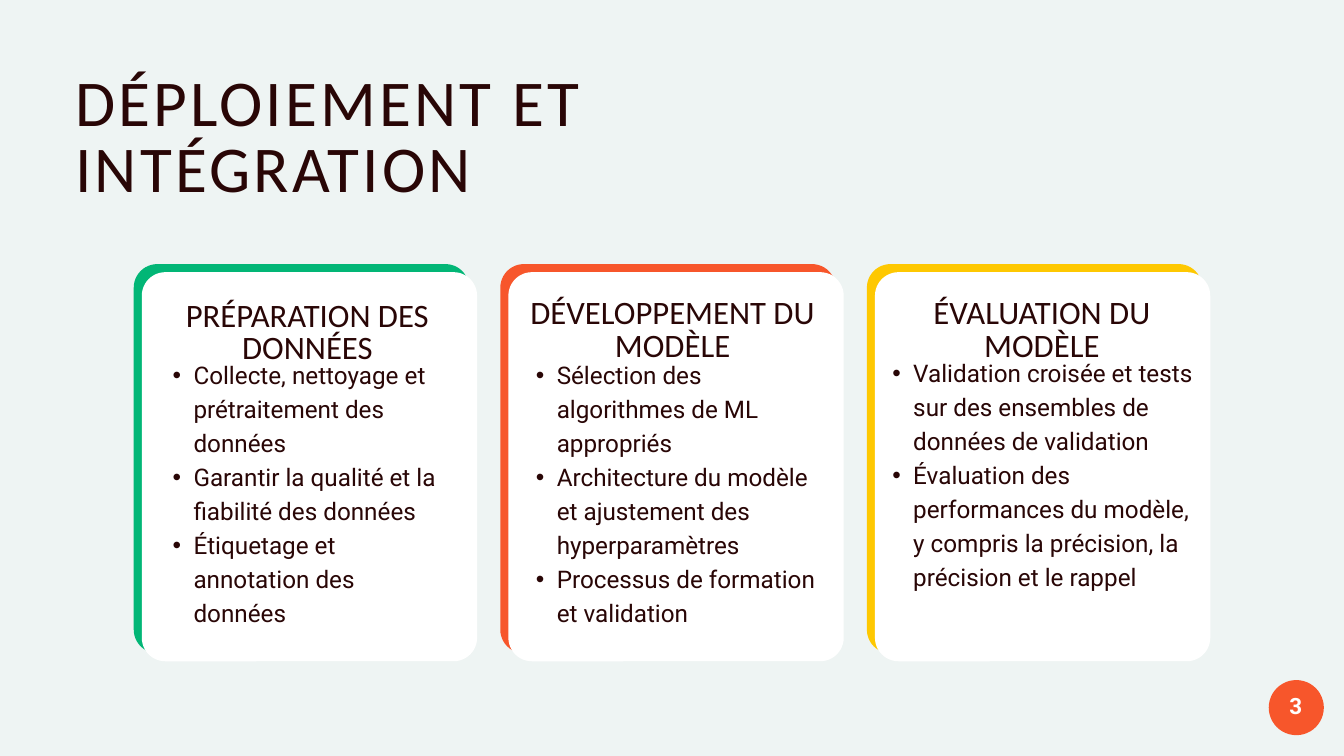
from lxml import etree
from pptx import Presentation
from pptx.dml.color import RGBColor
from pptx.enum.shapes import MSO_SHAPE
from pptx.enum.text import MSO_ANCHOR, MSO_AUTO_SIZE, PP_ALIGN
from pptx.oxml.ns import qn
from pptx.util import Inches, Pt

ROUND, OVAL = MSO_SHAPE.ROUNDED_RECTANGLE, MSO_SHAPE.OVAL
LEFT, CENTER = PP_ALIGN.LEFT, PP_ALIGN.CENTER
TOP, MIDDLE = MSO_ANCHOR.TOP, MSO_ANCHOR.MIDDLE
GROW, FIXED = MSO_AUTO_SIZE.SHAPE_TO_FIT_TEXT, MSO_AUTO_SIZE.NONE

INK, WHITE, PAPER = "290606", "FFFFFF", "EEF4F3"
GREEN, ORANGE, YELLOW = "02B676", "F7562B", "FEC801"

# Card grid: three equal cards, each a colored back and a white front
CARD_X, CARD_Y, CARD_W, CARD_H = 1.99, 3.93, 4.99, 5.79
PITCH, SHIFT, RADIUS = 5.455, 0.12, 0.35

# Color, heading, heading box, points, points box (boxes relative to the card)
CARDS = [
    (GREEN, "PRÉPARATION DES DONNÉES", (0.19, 0.55, 4.79, 0.59),
     ["Collecte, nettoyage et prétraitement des données",
      "Garantir la qualité et la fiabilité des données",
      "Étiquetage et annotation des données"], (0.28, 1.36, 4.47, 4.02)),
    (ORANGE, "DÉVELOPPEMENT DU MODÈLE", (0.18, 0.51, 4.77, 0.59),
     ["Sélection des algorithmes de ML appropriés",
      "Architecture du modèle et ajustement des hyperparamètres",
      "Processus de formation et validation"], (0.23, 1.36, 4.71, 4.02)),
    (YELLOW, "ÉVALUATION DU MODÈLE", (0.33, 0.51, 4.55, 0.59),
     ["Validation croisée et tests sur des ensembles de données de validation",
      "Évaluation des performances du modèle, y compris la précision, "
      "la précision et le rappel"], (0.08, 1.33, 4.82, 4.02)),
]


def paint(fill, color):
    fill.solid()
    fill.fore_color.rgb = RGBColor.from_string(color)


def add_block(slide, kind, box, color):
    shape = slide.shapes.add_shape(kind, *map(Inches, box))
    shape.shadow.inherit = False
    paint(shape.fill, color)
    shape.line.fill.background()
    return shape


def add_bullet(para):
    para.level = 1
    props = para._p.get_or_add_pPr()
    props.set("marL", str(Inches(0.61)))
    props.set("indent", str(Inches(-0.31)))
    etree.SubElement(props, qn("a:buFont")).set("typeface", "Arial")
    etree.SubElement(props, qn("a:buChar")).set("char", "•")


def add_text(slide, text, box, size, lead, font="Calibri", color=INK, align=LEFT,
             anchor=TOP, fit=GROW, inset=0, space=0, bold=False, bullet=False):
    """Place one paragraph, or a list of them, in a text box."""
    frame = slide.shapes.add_textbox(*map(Inches, box)).text_frame
    frame.word_wrap = True
    frame.auto_size = fit
    frame.vertical_anchor = anchor
    frame.margin_left = frame.margin_right = Inches(inset)
    frame.margin_top = frame.margin_bottom = Inches(inset)
    lines = [text] if isinstance(text, str) else text
    for i, line in enumerate(lines):
        para = frame.add_paragraph() if i else frame.paragraphs[0]
        if bullet:
            add_bullet(para)
        para.alignment = align
        para.line_spacing = Pt(lead)
        run = para.add_run()
        run.text = line
        run.font.name = font
        run.font.size = Pt(size)
        run.font.bold = bold
        paint(run.font.fill, color)
        if space:
            run.font._element.set("spc", str(round(space * 100)))


def add_card(slide, box, color, head, head_box, points, list_box):
    x, y, w, h = box

    def inside(part):
        return x + part[0], y + part[1], part[2], part[3]

    for step, shade in ((0, color), (SHIFT, WHITE)):
        panel = add_block(slide, ROUND, (x + step, y + step, w, h), shade)
        panel.adjustments[0] = RADIUS / min(w, h)
    add_text(slide, head, inside(head_box), 35, 35, align=CENTER)
    add_text(slide, points, inside(list_box), 26, 36.4, font="Roboto", bullet=True)


def add_badge(slide, box, number):
    x, y, w, h = box
    add_block(slide, OVAL, box, ORANGE)
    add_text(slide, number, (x + 0.07, y + 0.09, w - 0.15, h - 0.16), 24, 24,
             font="Roboto", color=WHITE, align=CENTER, anchor=MIDDLE,
             fit=FIXED, inset=0.06, space=1.2, bold=True)


def main():
    deck = Presentation()
    deck.slide_width, deck.slide_height = Inches(20), Inches(11.25)
    slide = deck.slides.add_slide(deck.slide_layouts[6])
    paint(slide.background.fill, PAPER)

    # Title
    add_text(slide, "DÉPLOIEMENT ET INTÉGRATION", (1.12, 1.11, 8.88, 2.14),
             70, 70, space=3.4)

    # Cards
    for i, card in enumerate(CARDS):
        add_card(slide, (CARD_X + i * PITCH, CARD_Y, CARD_W, CARD_H), *card)

    # Page number
    add_badge(slide, (18.88, 10.12, 0.82, 0.82), "3")
    deck.save("out.pptx")


if __name__ == "__main__":
    main()
